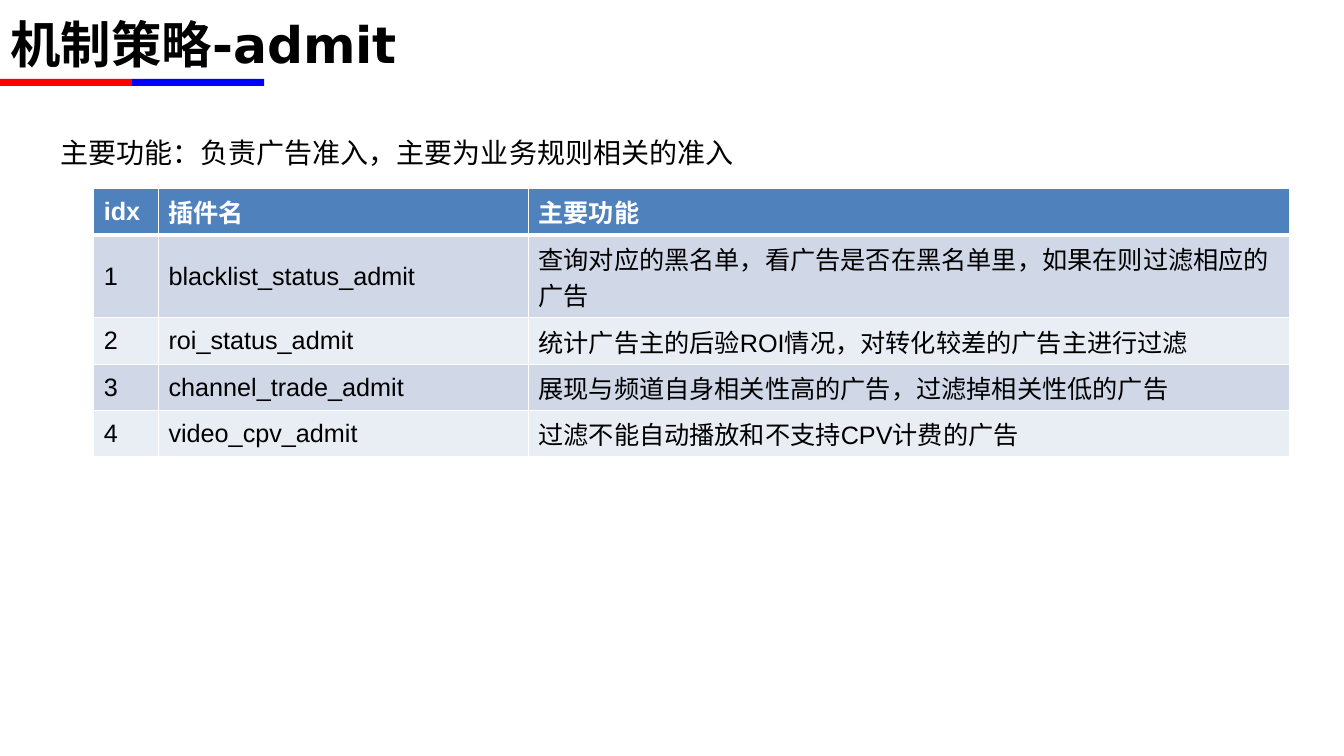
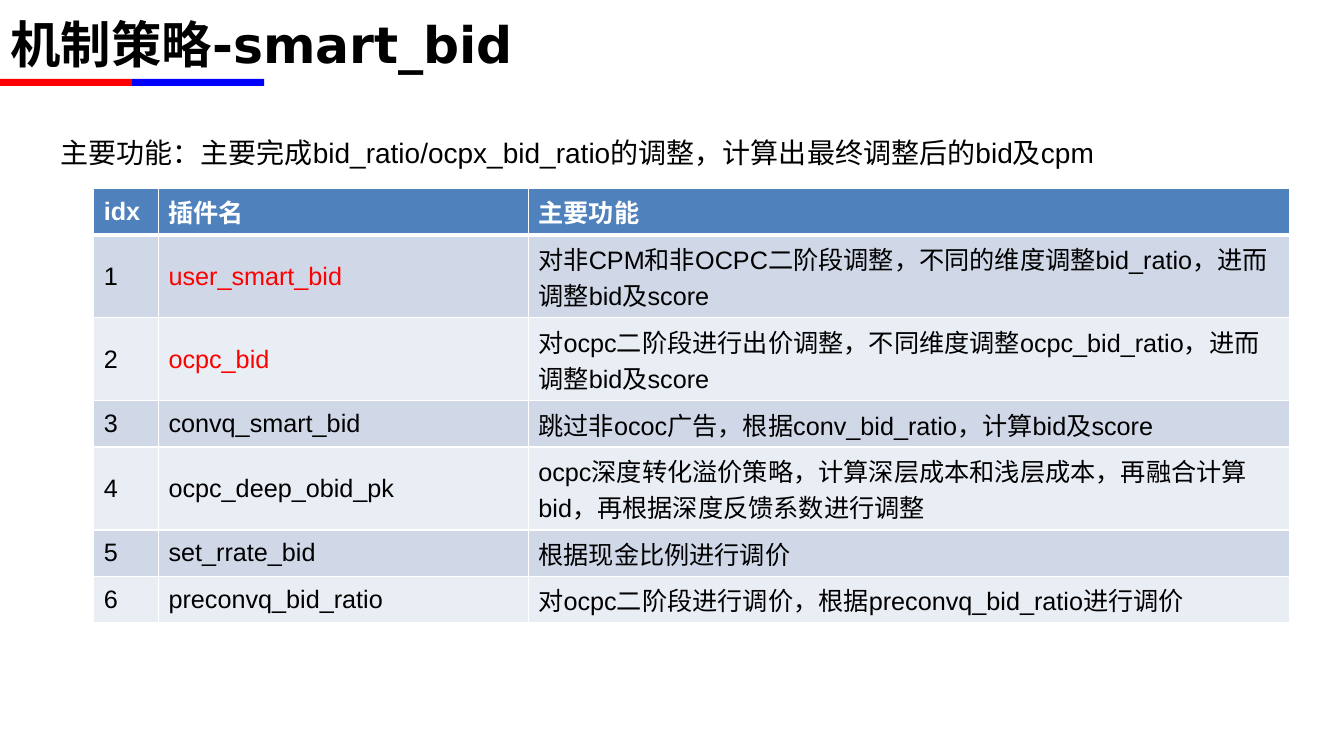
import math

import pptx
import pptx.util
import pptx.dml.color
import pptx.enum.lang
import pptx.enum.shapes
import pptx.enum.text
import lxml.etree
from pptx.oxml.ns import qn

Pt = pptx.util.Pt
RGB = pptx.dml.color.RGBColor
MIDDLE = pptx.enum.text.MSO_ANCHOR.MIDDLE
TOP = pptx.enum.text.MSO_ANCHOR.TOP

# Colours
BLACK = RGB(0x00, 0x00, 0x00)
WHITE = RGB(0xFF, 0xFF, 0xFF)
RED = RGB(0xFF, 0x00, 0x00)
BLUE = RGB(0x00, 0x00, 0xFF)
HEADER_FILL = RGB(0x4F, 0x81, 0xBD)
ROW_FILLS = (RGB(0xD0, 0xD8, 0xE8), RGB(0xE9, 0xED, 0xF4))

# Text formats
CHINESE = pptx.enum.lang.MSO_LANGUAGE_ID.SIMPLIFIED_CHINESE
TITLE = {"name": "DejaVu Sans", "size": Pt(36), "bold": True, "color": BLACK}
SUMMARY = {"name": "Arial", "size": Pt(20), "bold": False, "color": BLACK}
BODY_CELL = {"name": "Arial", "size": Pt(18), "bold": False, "color": BLACK}
KEY_CELL = {**BODY_CELL, "color": RED}
HEADER_CELL = {**BODY_CELL, "bold": True, "color": WHITE}

# Regions: left, top, width, height in points
SLIDE_SIZE = (960, 540)
TITLE_BOX = (0.5, 0, 864, 61.2)
RULE_BOX = (0, 56.4, 188.6, 5)
SUMMARY_BOX = (0, 81.2, 960, 458)
TABLE_BOX = (67, 134.64, 854.5, 33.1)  # height of a one-line row
COLUMN_WIDTHS = (46.2, 264.2, 544.1)
RED_SHARE = 0.5

# Measures of the table text
LINE_HEIGHT = 26.2
CELL_MARGINS = 14.4
WIDE_CHARACTER, NARROW_CHARACTER = 18, 9

COLUMN_NAMES = ("idx", "插件名", "主要功能")
PAGES = [
    {
        "title": "机制策略-admit",
        "summary": "主要功能：负责广告准入，主要为业务规则相关的准入",
        "plugins": [
            ("blacklist_status_admit", "查询对应的黑名单，看广告是否在黑名单里，如果在则过滤相应的广告"),
            ("roi_status_admit", "统计广告主的后验ROI情况，对转化较差的广告主进行过滤"),
            ("channel_trade_admit", "展现与频道自身相关性高的广告，过滤掉相关性低的广告"),
            ("video_cpv_admit", "过滤不能自动播放和不支持CPV计费的广告"),
        ],
        "key_plugins": (),
    },
    {
        "title": "机制策略-smart_bid",
        "summary": "主要功能：主要完成bid_ratio/ocpx_bid_ratio的调整，计算出最终调整后的bid及cpm",
        "plugins": [
            ("user_smart_bid", "对非CPM和非OCPC二阶段调整，不同的维度调整bid_ratio，进而调整bid及score"),
            ("ocpc_bid", "对ocpc二阶段进行出价调整，不同维度调整ocpc_bid_ratio，进而调整bid及score"),
            ("convq_smart_bid", "跳过非ococ广告，根据conv_bid_ratio，计算bid及score"),
            ("ocpc_deep_obid_pk", "ocpc深度转化溢价策略，计算深层成本和浅层成本，再融合计算bid，再根据深度反馈系数进行调整"),
            ("set_rrate_bid", "根据现金比例进行调价"),
            ("preconvq_bid_ratio", "对ocpc二阶段进行调价，根据preconvq_bid_ratio进行调价"),
        ],
        "key_plugins": ("user_smart_bid", "ocpc_bid"),
    },
]


def write(paragraph, text, style):
    """Add text in one format."""
    run = paragraph.add_run()
    run.text = text
    for name, value in {**style, "language_id": CHINESE}.items():
        if name == "color":
            run.font.color.rgb = value
        else:
            setattr(run.font, name, value)


def add_text(slide, box, text, style, anchor, **paragraph_format):
    frame = slide.shapes.add_textbox(*map(Pt, box)).text_frame
    frame.word_wrap = True
    frame.vertical_anchor = anchor
    paragraph = frame.paragraphs[0]
    for name, value in paragraph_format.items():
        setattr(paragraph, name, value)
    write(paragraph, text, style)
    return paragraph


def add_title_rule(slide, box):
    """Two-colour rule under the title."""
    left, top, width, height = box
    red_width = width * RED_SHARE
    for x, part_width, colour in ((left, red_width, RED),
                                  (left + red_width, width - red_width, BLUE)):
        band = slide.shapes.add_shape(
            pptx.enum.shapes.MSO_SHAPE.RECTANGLE,
            Pt(x), Pt(top), Pt(part_width), Pt(height))
        band.shadow.inherit = False
        band.fill.solid()
        band.fill.fore_color.rgb = colour
        band.line.fill.background()


def set_borders(cell, top, bottom):
    """White cell borders; the sides are always 1 pt."""
    properties = cell._tc.get_or_add_tcPr()
    widths = {"a:lnL": 1, "a:lnR": 1, "a:lnT": top, "a:lnB": bottom}
    for position, (tag, width) in enumerate(widths.items()):
        line = lxml.etree.Element(qn(tag), w=str(Pt(width)))
        fill = lxml.etree.SubElement(line, qn("a:solidFill"))
        lxml.etree.SubElement(fill, qn("a:srgbClr"), val=str(WHITE))
        properties.insert(position, line)


def count_lines(text, column_width):
    """Estimate how many lines a table text takes."""
    text_width = sum(NARROW_CHARACTER if ch.isascii() else WIDE_CHARACTER
                     for ch in text)
    return math.ceil(text_width / (column_width - CELL_MARGINS))


def add_plugin_table(slide, box, plugins, key_plugins):
    left, top, width, row_height = box
    rows = [COLUMN_NAMES]
    rows += [(str(i), *plugin) for i, plugin in enumerate(plugins, 1)]
    heights = [row_height + LINE_HEIGHT * (count_lines(row[-1], COLUMN_WIDTHS[-1]) - 1)
               for row in rows]
    table = slide.shapes.add_table(
        len(rows), len(COLUMN_NAMES), Pt(left), Pt(top),
        Pt(width), Pt(sum(heights))).table
    table.horz_banding = False
    for column, column_width in zip(table.columns, COLUMN_WIDTHS):
        column.width = Pt(column_width)

    for r, texts in enumerate(rows):
        table.rows[r].height = Pt(heights[r])
        for c, text in enumerate(texts):
            cell = table.cell(r, c)
            cell.vertical_anchor = MIDDLE
            cell.fill.solid()
            cell.fill.fore_color.rgb = ROW_FILLS[(r - 1) % 2] if r else HEADER_FILL
            # Heavier line between header and body
            set_borders(cell, top=3 if r == 1 else 1, bottom=1 if r else 3)
            style = KEY_CELL if text in key_plugins else BODY_CELL
            write(cell.text_frame.paragraphs[0], text, style if r else HEADER_CELL)


def add_page(deck, page):
    slide = deck.slides.add_slide(deck.slide_layouts[6])
    add_title_rule(slide, RULE_BOX)
    add_text(slide, TITLE_BOX, page["title"], TITLE, MIDDLE)
    summary = add_text(slide, SUMMARY_BOX, page["summary"], SUMMARY, TOP,
                       line_spacing=1.5)
    summary._p.get_or_add_pPr().set("marL", str(Pt(36)))
    add_plugin_table(slide, TABLE_BOX, page["plugins"], page["key_plugins"])


def main():
    deck = pptx.Presentation()
    deck.slide_width, deck.slide_height = map(Pt, SLIDE_SIZE)
    for page in PAGES:
        add_page(deck, page)
    deck.save("out.pptx")


if __name__ == "__main__":
    main()
